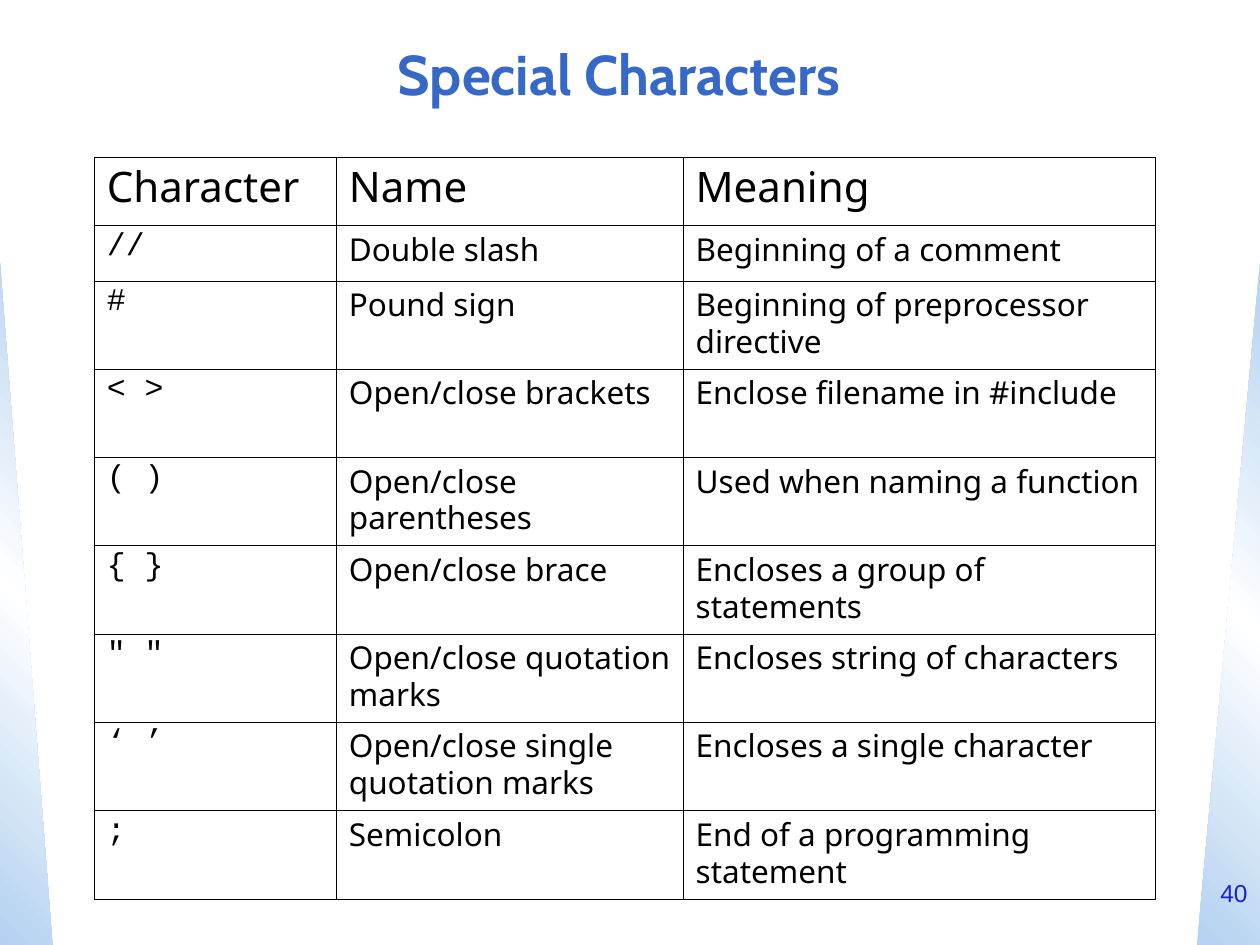
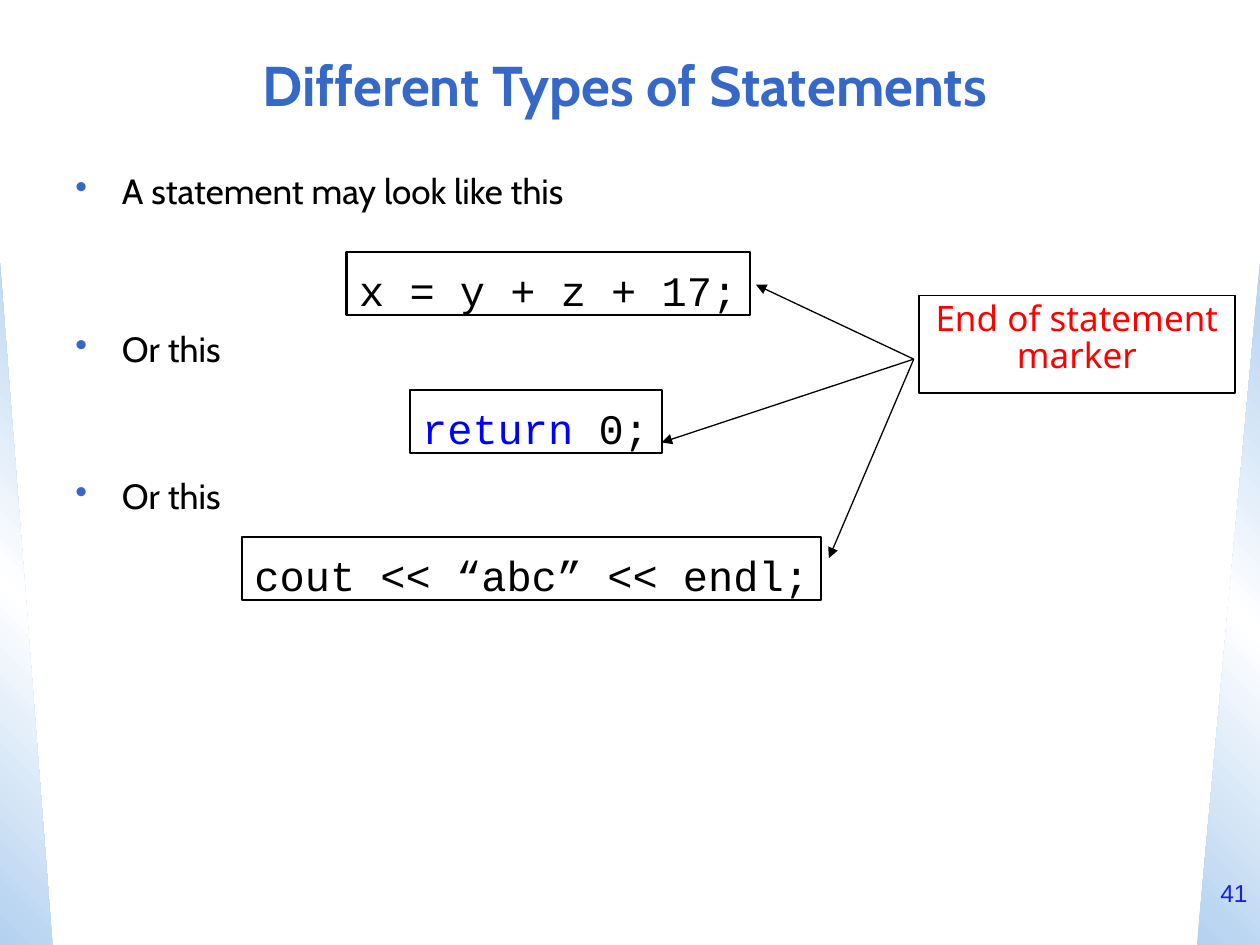
import pptx
import pptx.dml.color
import pptx.enum.shapes
import pptx.enum.text
import pptx.oxml.ns
import pptx.util
from lxml import etree

Cm = pptx.util.Cm
Pt = pptx.util.Pt
RGBColor = pptx.dml.color.RGBColor
PP_ALIGN = pptx.enum.text.PP_ALIGN
qn = pptx.oxml.ns.qn

BLACK = RGBColor(0x00, 0x00, 0x00)
TITLE_BLUE = RGBColor(0x35, 0x68, 0xC7)
NUMBER_BLUE = RGBColor(0x18, 0x22, 0xCD)
KEYWORD_BLUE = RGBColor(0x00, 0x00, 0xFF)
MARKER_RED = RGBColor(0xFF, 0x00, 0x00)
BAND_BLUE = RGBColor(0xB3, 0xD1, 0xF0)
WHITE = RGBColor(0xFF, 0xFF, 0xFF)

HEADING_FONT = "Cabin"
BODY_FONT = "Noto Sans"
CODE_FONT = "Courier New"
NUMBER_FONT = "Arial"

CHARACTERS = [
    ("Character", "Name", "Meaning"),
    ("//", "Double slash", "Beginning of a comment"),
    ("#", "Pound sign", "Beginning of preprocessor directive"),
    ("< >", "Open/close brackets", "Enclose filename in #include"),
    ("( )", "Open/close parentheses", "Used when naming a function"),
    ("{ }", "Open/close brace", "Encloses a group of statements"),
    ('" "', "Open/close quotation marks", "Encloses string of characters"),
    ("‘ ’", "Open/close single quotation marks", "Encloses a single character"),
    (";", "Semicolon", "End of a programming statement"),
]
COLUMN_WIDTHS = [4.88, 6.99, 9.52]
ROW_HEIGHTS = [1.38, 1.11] + [1.78] * 7

# Bullet text and the space before it, in points
BULLETS = [("A statement may look like this", 0), ("Or this", 68.5), ("Or this", 62.5)]

# Left, top, width, line weight and (text, colour) spans
STATEMENTS = [
    (8.26, 7.87, 5.08, 1.25, [("return", KEYWORD_BLUE), (" 0;", BLACK)]),
    (6.99, 5.08, 8.13, 1.5, [("x = y + z + 17;", BLACK)]),
    (4.88, 10.82, 11.68, 1.25, [("cout << “abc” << endl;", BLACK)]),
]
MARKER_POINT = (18.42, 7.24)
STATEMENT_ENDS = [(13.34, 8.92), (15.24, 5.74), (16.71, 11.25)]


def add_element(parent, tag, **attributes):
    return etree.SubElement(parent, qn(tag), attributes)


def style(paragraph, font, size, color, align=PP_ALIGN.LEFT, bold=False):
    paragraph.alignment = align
    paragraph.font.name = font
    paragraph.font.size = Pt(size)
    paragraph.font.color.rgb = color
    paragraph.font.bold = bold


def add_text_box(page, left, top, width, height, wrap=True):
    box = page.shapes.add_textbox(Cm(left), Cm(top), Cm(width), Cm(height))
    box.text_frame.word_wrap = wrap
    return box


def add_band(page, left, width, angle, mirrored=False):
    """Add one of the shaded triangles at the page's sides."""
    band = page.shapes.add_shape(
        pptx.enum.shapes.MSO_SHAPE.RIGHT_TRIANGLE,
        Cm(left), Cm(5.29), Cm(width), Cm(13.76))
    band.shadow.inherit = False
    band.line.fill.background()
    band.fill.gradient()
    gradient = band.element.spPr.find(qn("a:gradFill"))
    for child in list(gradient):
        gradient.remove(child)
    stops = add_element(gradient, "a:gsLst")
    for position, color in ((0, BAND_BLUE), (50, WHITE), (100, BAND_BLUE)):
        stop = add_element(stops, "a:gs", pos=str(position * 1000))
        add_element(stop, "a:srgbClr", val=str(color))
    add_element(gradient, "a:lin", ang=str(angle * 60000), scaled="0")
    if mirrored:
        band.element.spPr.find(qn("a:xfrm")).set("flipH", "1")


def add_page(deck, title, title_place, number):
    page = deck.slides.add_slide(deck.slide_layouts[6])
    add_band(page, 0, 1.06, 315)
    add_band(page, 24.13, 1.27, 45, mirrored=True)

    title_frame = add_text_box(page, *title_place).text_frame
    title_frame.vertical_anchor = pptx.enum.text.MSO_ANCHOR.MIDDLE
    title_frame.text = title
    style(title_frame.paragraphs[0], HEADING_FONT, 32, TITLE_BLUE, PP_ALIGN.CENTER, bold=True)

    number_frame = add_text_box(page, 24.13, 17.57, 1.27, 1.48).text_frame
    number_frame.text = str(number)
    style(number_frame.paragraphs[0], NUMBER_FONT, 14, NUMBER_BLUE, PP_ALIGN.RIGHT)
    return page


def add_cell_borders(cell):
    properties = cell._tc.get_or_add_tcPr()
    for side in ("a:lnL", "a:lnR", "a:lnT", "a:lnB"):
        border = add_element(properties, side, w=str(Pt(0.23)))
        fill = add_element(border, "a:solidFill")
        add_element(fill, "a:srgbClr", val=str(BLACK))


def add_character_table(page, left, top):
    table = page.shapes.add_table(
        len(CHARACTERS), len(COLUMN_WIDTHS), Cm(left), Cm(top),
        Cm(sum(COLUMN_WIDTHS)), Cm(sum(ROW_HEIGHTS))).table
    table.first_row = False
    table.horz_banding = False
    for column, width in zip(table.columns, COLUMN_WIDTHS):
        column.width = Cm(width)
    for row, height in zip(table.rows, ROW_HEIGHTS):
        row.height = Cm(height)
    for row_index, texts in enumerate(CHARACTERS):
        for column_index, text in enumerate(texts):
            cell = table.cell(row_index, column_index)
            add_cell_borders(cell)
            cell.fill.background()
            cell.text = text
            is_header = row_index == 0
            is_code = column_index == 0 and not is_header
            paragraph = cell.text_frame.paragraphs[0]
            paragraph.line_spacing = 0.82 if is_code else 0.86
            style(paragraph, CODE_FONT if is_code else BODY_FONT, 24 if is_header else 18, BLACK)


def add_bullets(page, left, top, width, height):
    frame = add_text_box(page, left, top, width, height).text_frame
    for index, (text, space) in enumerate(BULLETS):
        paragraph = frame.add_paragraph() if index else frame.paragraphs[0]
        paragraph.text = text
        paragraph.line_spacing = 0.9
        if space:
            paragraph.space_before = Pt(space)
        properties = paragraph._p.get_or_add_pPr()
        properties.set("marL", str(Cm(0.94)))
        properties.set("indent", str(-Cm(0.94)))
        bullet_color = add_element(properties, "a:buClr")
        add_element(bullet_color, "a:srgbClr", val=str(TITLE_BLUE))
        add_element(properties, "a:buChar", char="•")
        style(paragraph, HEADING_FONT, 20, BLACK)


def outline(box, weight):
    box.line.color.rgb = BLACK
    box.line.width = Pt(weight)


def add_statement(page, left, top, width, weight, spans):
    box = add_text_box(page, left, top, width, 1.27, wrap=False)
    outline(box, weight)
    box.text_frame.margin_top = Cm(0.25)
    paragraph = box.text_frame.paragraphs[0]
    style(paragraph, CODE_FONT, 24, BLACK)
    for text, color in spans:
        span = paragraph.add_run()
        span.text = text
        if color != BLACK:
            span.font.color.rgb = color


def add_marker_label(page, left, top, width, height):
    box = add_text_box(page, left, top, width, height, wrap=False)
    outline(box, 1)
    box.text_frame.text = "End of statement\nmarker"
    for paragraph in box.text_frame.paragraphs:
        paragraph.line_spacing = 0.88
        style(paragraph, BODY_FONT, 20, MARKER_RED, PP_ALIGN.CENTER)


def add_arrow(page, start, end):
    arrow = page.shapes.add_connector(
        pptx.enum.shapes.MSO_CONNECTOR.STRAIGHT,
        *(Cm(length) for length in start + end))
    outline(arrow, 0.75)
    add_element(arrow.line._get_or_add_ln(), "a:tailEnd", type="triangle")
    add_element(arrow._element.spPr, "a:effectLst")


def build_characters_page(deck):
    page = add_page(deck, "Special Characters", (1.69, 0.42, 21.59, 2.12), 40)
    add_character_table(page, 1.9, 3.17)


def build_statements_page(deck):
    page = add_page(deck, "Different Types of Statements", (0.64, 0.64, 23.92, 2.12), 41)
    add_bullets(page, 1.27, 3.39, 22.86, 14.18)
    for statement in STATEMENTS:
        add_statement(page, *statement)
    add_marker_label(page, 18.52, 5.96, 6.38, 1.96)
    for end in STATEMENT_ENDS:
        add_arrow(page, MARKER_POINT, end)


def main():
    deck = pptx.Presentation()
    deck.slide_width = Cm(25.4)
    deck.slide_height = Cm(19.05)
    build_characters_page(deck)
    build_statements_page(deck)
    deck.save("out.pptx")


if __name__ == "__main__":
    main()
